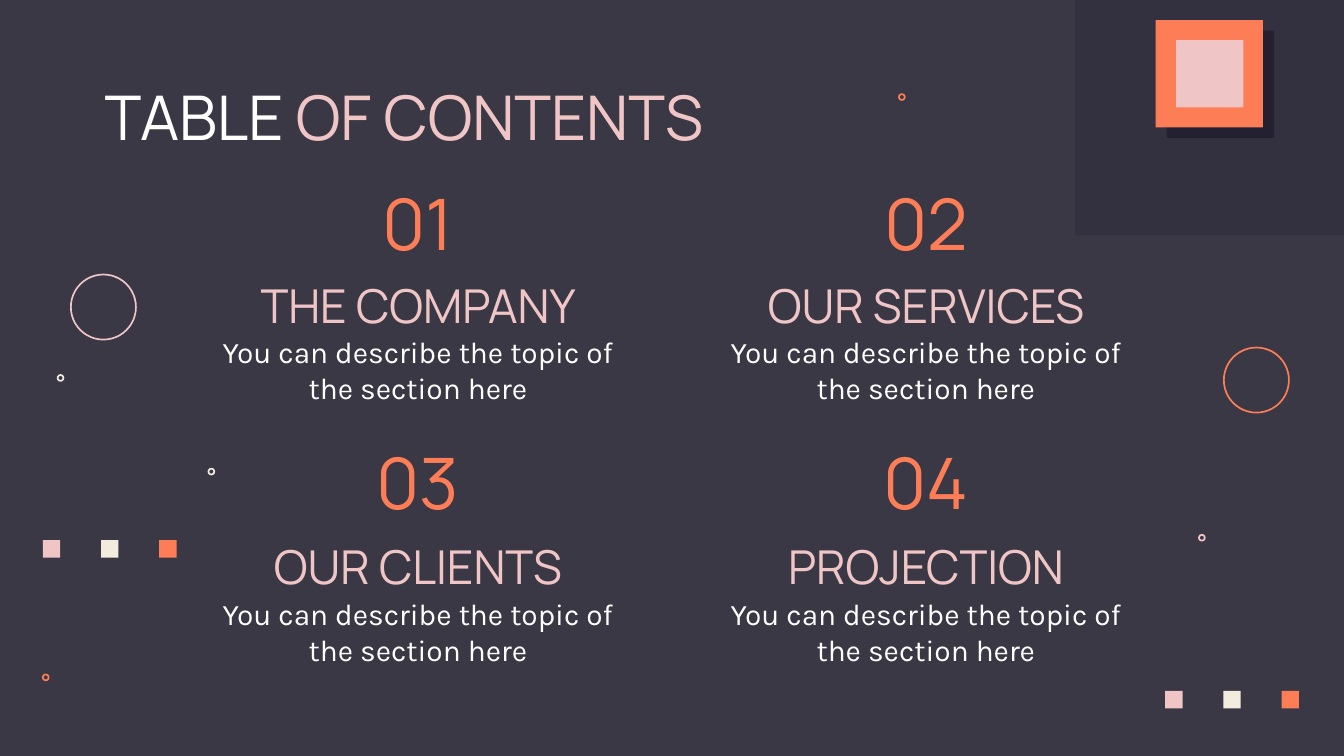
import pptx
import pptx.util
import pptx.dml.color
import pptx.enum.shapes
import pptx.enum.text
import lxml.etree

Cm = pptx.util.Cm
Pt = pptx.util.Pt
SHAPE = pptx.enum.shapes.MSO_SHAPE
ANCHOR = pptx.enum.text.MSO_ANCHOR
ALIGN = pptx.enum.text.PP_ALIGN

THEME = {
    "night": "3A3845", "shade": "232131", "white": "FFFFFF",
    "pink": "EFC5C5", "orange": "FD7D56", "cream": "F3EBDE",
    "display": "Manrope", "text": "Karla",
    "title": 33, "number": 38, "heading": 25, "body": 16, "outline": 0.9,
}

# Content
TITLE = [("TABLE ", "white"), ("OF CONTENTS", "pink")]
SECTIONS = ["THE COMPANY", "OUR SERVICES", "OUR CLIENTS", "PROJECTION"]
DESCRIPTION = "You can describe the topic of the section here"

# Section grid, in cm; each part is centred on its column
FIRST_CENTRE, COLUMN_STEP = 7.9, 9.6
# part: (width, height, top in first row, step between rows, font, colour)
PARTS = {
    "number": (2.9, 1.63, 3.38, 4.9, "display", "orange"),
    "heading": (8.53, 0.99, 5.26, 4.95, "display", "pink"),
    "body": (7.9, 1.27, 6.35, 4.95, "text", "white"),
}

# Decorations: (left, top, size, colour), in cm
DOT, RING, TILE, TILE_STEP = 0.11, 1.23, 0.33, 1.1
CIRCLES = [
    (22.66, 10.11, DOT, "pink"), (16.99, 1.78, DOT, "orange"),
    (1.09, 7.09, DOT, "cream"), (3.94, 8.86, DOT, "cream"),
    (0.81, 12.75, DOT, "orange"),
    (23.13, 6.57, RING, "orange"), (1.34, 5.19, RING, "pink"),
]
EMBLEM = [(22.05, 0.58, 2.03, "shade"), (21.84, 0.38, 2.03, "orange"),
          (22.23, 0.76, 1.27, "pink")]
TILE_ROWS = [(0.81, 10.21), (22.02, 13.06)]
TILE_COLOURS = ["pink", "cream", "orange"]


def rgb(colour):
    return pptx.dml.color.RGBColor.from_string(THEME[colour])


def add_text(slide, left, top, width, height, pieces, font, size,
             anchor=ANCHOR.MIDDLE, align=ALIGN.CENTER):
    frame = slide.shapes.add_textbox(
        Cm(left), Cm(top), Cm(width), Cm(height)).text_frame
    frame.word_wrap = True
    frame.vertical_anchor = anchor
    frame.margin_left = frame.margin_right = Cm(0.25)
    frame.margin_top = frame.margin_bottom = Cm(0.25)
    paragraph = frame.paragraphs[0]
    paragraph.alignment = align
    for words, colour in pieces:
        run = paragraph.add_run()
        run.text = words
        run.font.name = THEME[font]
        run.font.size = Pt(THEME[size])
        run.font.color.rgb = rgb(colour)


def add_square(slide, left, top, size, colour):
    square = slide.shapes.add_shape(
        SHAPE.RECTANGLE, Cm(left), Cm(top), Cm(size), Cm(size))
    square.shadow.inherit = False
    square.fill.solid()
    square.fill.fore_color.rgb = rgb(colour)
    square.line.fill.background()
    return square


def add_circle(slide, left, top, size, colour):
    circle = slide.shapes.add_shape(
        SHAPE.OVAL, Cm(left), Cm(top), Cm(size), Cm(size))
    circle.shadow.inherit = False
    circle.fill.background()
    circle.line.color.rgb = rgb(colour)
    circle.line.width = Pt(THEME["outline"])


def set_opacity(shape, percent):
    colour = shape.fill._xPr.find(".//" + pptx.oxml.ns.qn("a:srgbClr"))
    alpha = lxml.etree.SubElement(colour, pptx.oxml.ns.qn("a:alpha"))
    alpha.set("val", str(percent * 1000))


def main():
    deck = pptx.Presentation()
    deck.slide_width, deck.slide_height = Cm(25.4), Cm(14.29)
    slide = deck.slides.add_slide(deck.slide_layouts[6])
    slide.background.fill.solid()
    slide.background.fill.fore_color.rgb = rgb("night")

    # Title
    add_text(slide, 1.73, 1.24, 21.95, 1.6, TITLE, "display", "title",
             ANCHOR.TOP, ALIGN.LEFT)

    # Sections, two to a row
    for index, section in enumerate(SECTIONS):
        row, column = divmod(index, 2)
        centre = FIRST_CENTRE + column * COLUMN_STEP
        words = {"number": f"{index + 1:02d}", "heading": section,
                 "body": DESCRIPTION}
        for part, (width, height, top, step, font, colour) in PARTS.items():
            add_text(slide, centre - width / 2, top + row * step, width,
                     height, [(words[part], colour)], font, part)

    # Circles, corner panel and emblem
    for circle in CIRCLES:
        add_circle(slide, *circle)
    set_opacity(add_square(slide, 20.32, -1.14, 5.59, "shade"), 28)
    for square in EMBLEM:
        add_square(slide, *square)

    # Rows of small tiles
    for left, top in TILE_ROWS:
        for place, colour in enumerate(TILE_COLOURS):
            add_square(slide, left + place * TILE_STEP, top, TILE, colour)

    deck.save("out.pptx")


if __name__ == "__main__":
    main()
